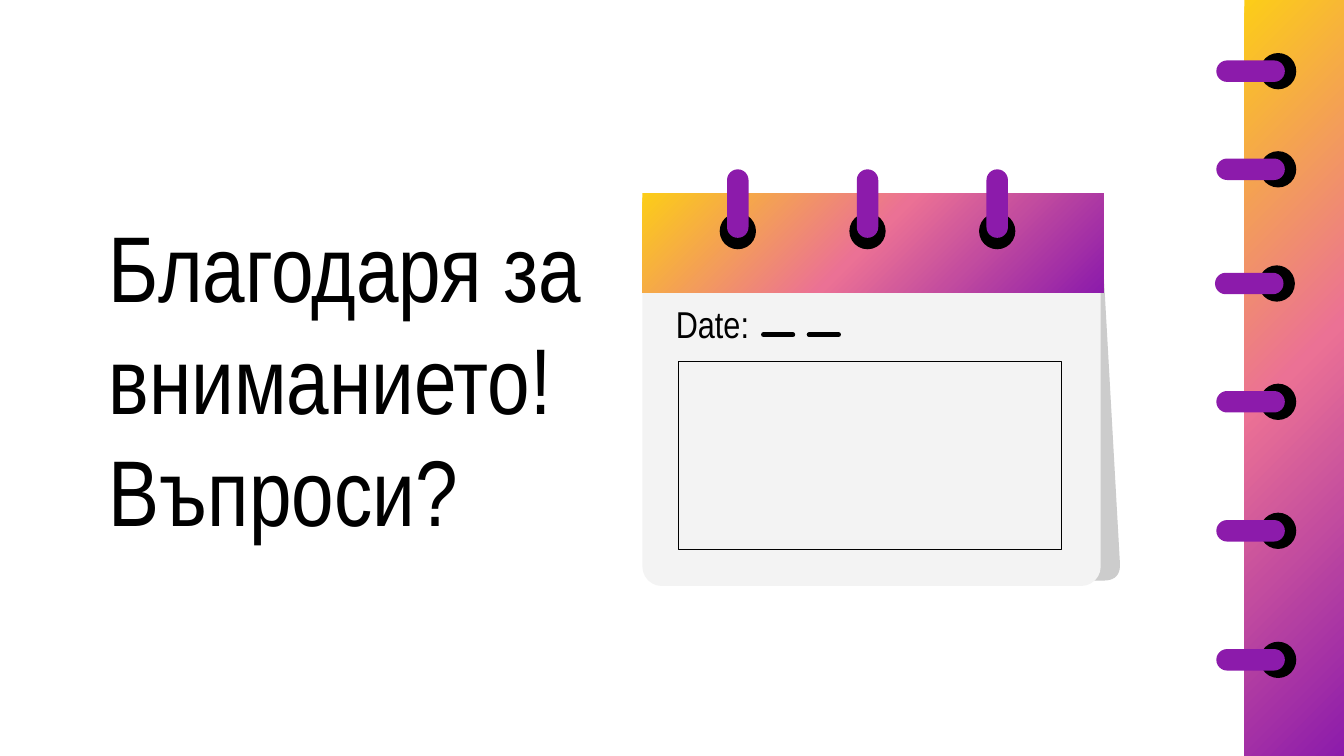
from copy import deepcopy
from math import dist

from lxml import etree
from pptx import Presentation
from pptx.dml.color import RGBColor
from pptx.enum.shapes import MSO_CONNECTOR as Connector, MSO_SHAPE as Shape
from pptx.enum.text import MSO_ANCHOR as Anchor, MSO_AUTO_SIZE as AutoSize, PP_ALIGN as Align
from pptx.oxml.ns import qn
from pptx.util import Inches, Pt

SLIDE_WIDTH = 10
SLIDE_HEIGHT = SLIDE_WIDTH * 9 / 16

TITLE = "Благодаря за вниманието!\vВъпроси?"
DATE_LABEL = "Date:"
FONT = "Arial Narrow"
BLACK, PURPLE, PAGE, PAGE_BEHIND = "000000", "8C1BAB", "F3F3F3", "CCCCCC"
GRADIENT = [(0, "FCCD18"), (0.49, "EB7195"), (1, PURPLE)]

HOLE, RING_LENGTH, RING_WIDTH, RING_OVERLAP = 0.27, 0.51, 0.16, 0.05
CALENDAR_HOLES = [(5.49 + 0.965 * i, 1.72) for i in range(3)]
BINDER_HOLES = [(9.51, 0.53), (9.51, 1.26), (9.5, 2.11),
                (9.51, 2.99), (9.51, 3.95), (9.51, 4.91)]
BACK_CORNERS = [(4.78, 1.47), (8.18, 1.47), (8.34, 4.32), (4.93, 4.32)]
BACK_RADIUS = 0.13
DATE_DASHES = [5.68, 6.02]


def rgb(color):
    return RGBColor.from_string(color)


def paint(shape, fill=None, line=None):
    shape.shadow.inherit = False
    if fill:
        shape.fill.solid()
        shape.fill.fore_color.rgb = rgb(fill)
    else:
        shape.fill.background()
    if line:
        shape.line.color.rgb = rgb(line)
        shape.line.width = Pt(0.75)
    else:
        shape.line.fill.background()


def add_block(group, kind, box, fill=None, line=None):
    block = group.shapes.add_shape(kind, *map(Inches, box))
    paint(block, fill, line)
    return block


def add_gradient_band(group, box):
    band = add_block(group, Shape.RECTANGLE, box)
    band.fill.gradient()
    band.fill.gradient_angle = 315
    stop_list = band._element.spPr.find(qn("a:gradFill")).find(qn("a:gsLst"))
    stop_list.insert(1, deepcopy(stop_list[0]))
    for stop, (position, color) in zip(band.fill.gradient_stops, GRADIENT):
        stop.position = position
        stop.color.rgb = rgb(color)


def add_ring(group, x, y, vertical):
    """Put a hole centred at x, y and a ring that reaches out of it, up or left."""
    add_block(group, Shape.OVAL, (x - HOLE / 2, y - HOLE / 2, HOLE, HOLE), BLACK)
    reach = RING_LENGTH - RING_OVERLAP
    if vertical:
        box = (x - RING_WIDTH / 2, y - reach, RING_WIDTH, RING_LENGTH)
    else:
        box = (x - reach, y - RING_WIDTH / 2, RING_LENGTH, RING_WIDTH)
    add_block(group, Shape.ROUNDED_RECTANGLE, box, PURPLE).adjustments[0] = 0.5


def toward(start, end, length):
    share = length / dist(start, end)
    return tuple(a + (b - a) * share for a, b in zip(start, end))


def rounded_outline(corners, radius, steps=10):
    """Return points that replace each corner by a quadratic curve."""
    points = []
    for i, corner in enumerate(corners):
        start = toward(corner, corners[i - 1], radius)
        end = toward(corner, corners[(i + 1) % len(corners)], radius)
        for t in (step / steps for step in range(steps + 1)):
            points.append(tuple(Inches((1 - t) ** 2 * a + 2 * t * (1 - t) * c + t ** 2 * b)
                                for a, c, b in zip(start, corner, end)))
    return points


def add_dash(group, x, y=2.49, length=0.22):
    dash = group.shapes.add_connector(
        Connector.STRAIGHT, *map(Inches, (x, y, x + length, y)))
    dash.line.color.rgb = rgb(BLACK)
    dash.line.width = Pt(2.5)
    dash.line._get_or_add_ln().set("cap", "rnd")
    etree.SubElement(dash._element.spPr, qn("a:effectLst"))


def write(shape, text, size, anchor):
    frame = shape.text_frame
    frame.text = text
    frame.word_wrap = True
    frame.auto_size = AutoSize.NONE
    frame.vertical_anchor = anchor
    frame.margin_left = frame.margin_right = Inches(0.1)
    frame.margin_top = frame.margin_bottom = Inches(0.1)
    for paragraph in frame.paragraphs:
        paragraph.alignment = Align.LEFT
        for run in paragraph.runs:
            run.font.name = FONT
            run.font.size = Pt(size)
            run.font.color.rgb = rgb(BLACK)


def add_calendar(slide):
    calendar = slide.shapes.add_group_shape()
    first, *rest = rounded_outline(BACK_CORNERS, BACK_RADIUS)
    outline = calendar.shapes.build_freeform(*first)
    outline.add_line_segments(rest)
    paint(outline.convert_to_shape(), PAGE_BEHIND)
    page = add_block(calendar, Shape.ROUNDED_RECTANGLE, (4.78, 1.47, 3.41, 2.89), PAGE)
    page.adjustments[0] = 0.05
    for x in DATE_DASHES:
        add_dash(calendar, x)
    add_gradient_band(calendar, (4.78, 1.44, 3.43, 0.74))
    for x, y in CALENDAR_HOLES:
        add_ring(calendar, x, y, vertical=True)
    add_block(calendar, Shape.RECTANGLE, (5.05, 2.69, 2.85, 1.4), line=BLACK)
    date = calendar.shapes.add_textbox(*map(Inches, (4.93, 2.28, 0.85, 0.25)))
    write(date, DATE_LABEL, 20, Anchor.MIDDLE)


def add_binder(slide):
    binder = slide.shapes.add_group_shape()
    add_gradient_band(binder, (9.26, 0, 0.74, SLIDE_HEIGHT))
    for x, y in BINDER_HOLES:
        add_ring(binder, x, y, vertical=False)


def main():
    deck = Presentation()
    deck.slide_width, deck.slide_height = Inches(SLIDE_WIDTH), Inches(SLIDE_HEIGHT)
    slide = deck.slides.add_slide(deck.slide_layouts[5])
    title = slide.shapes.title
    title.left, title.top, title.width, title.height = map(Inches, (0.71, 1.47, 4.78, 2.69))
    write(title, TITLE, 50, Anchor.BOTTOM)
    add_calendar(slide)
    add_binder(slide)
    deck.save("out.pptx")


if __name__ == "__main__":
    main()
